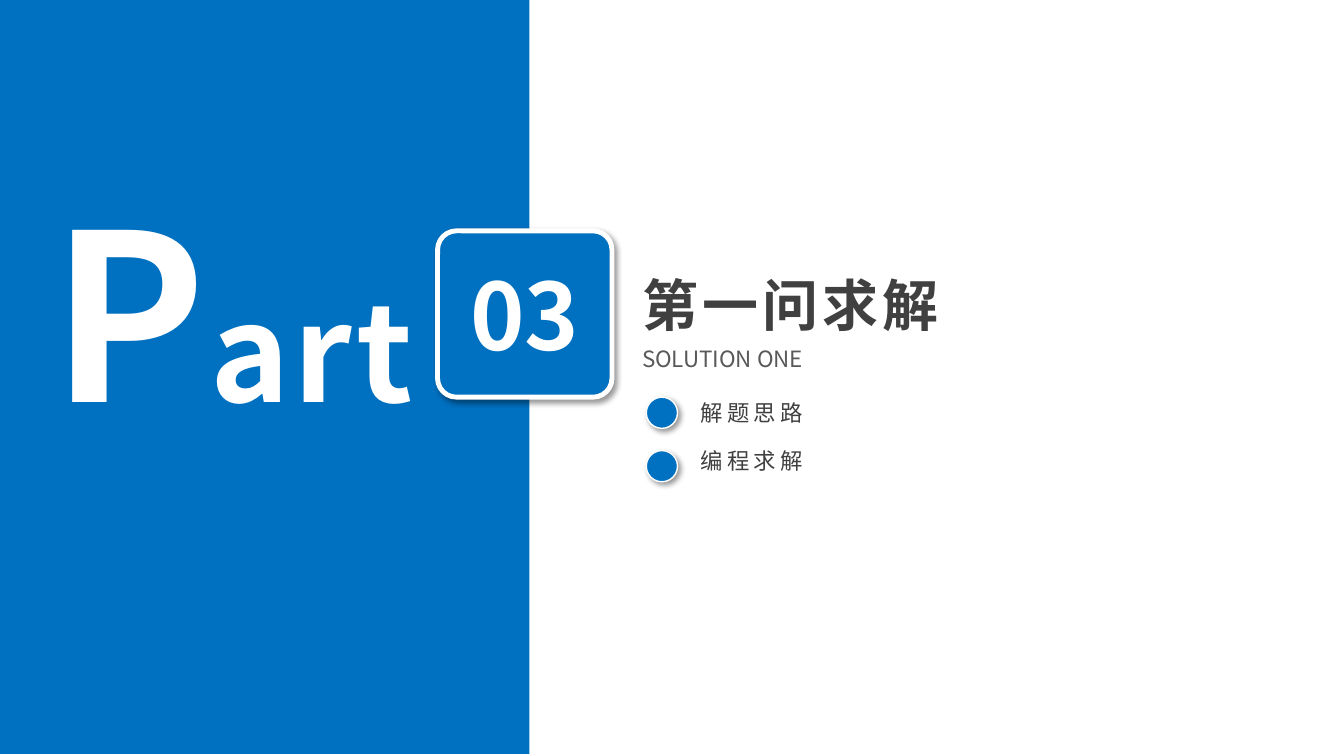
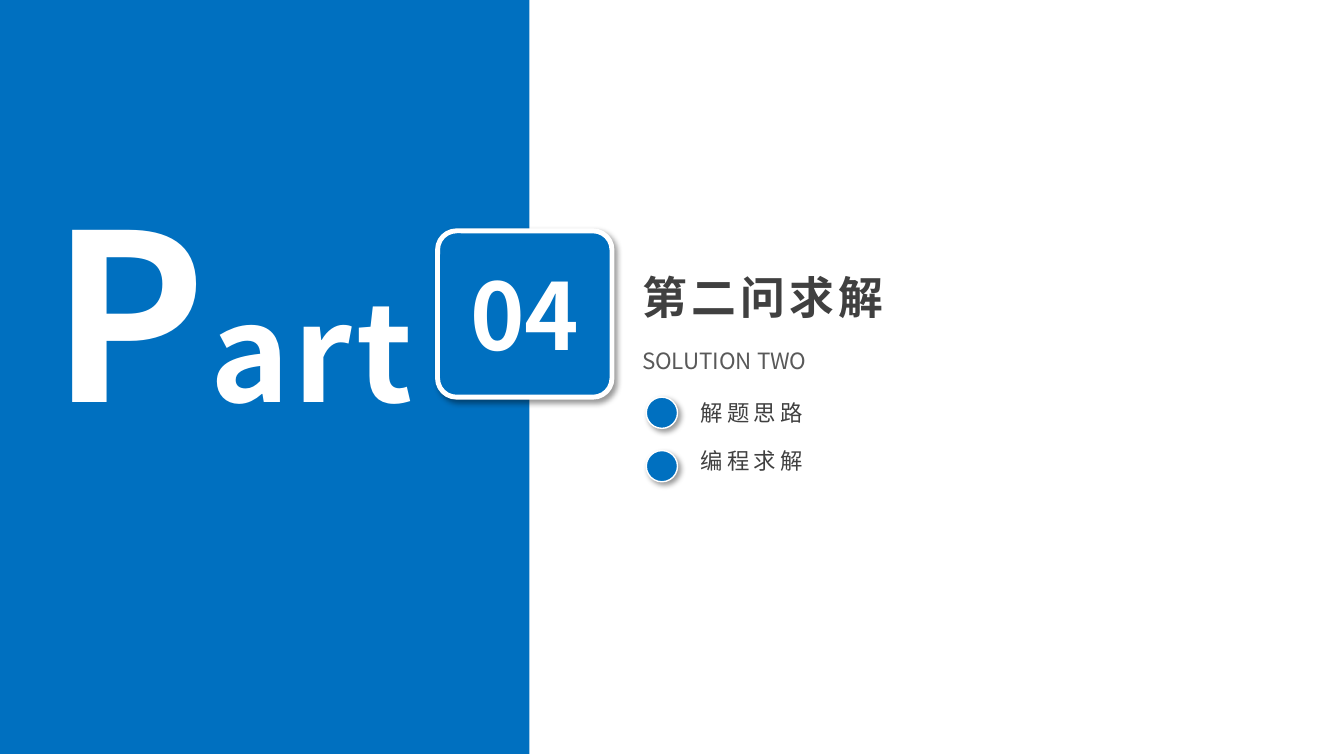
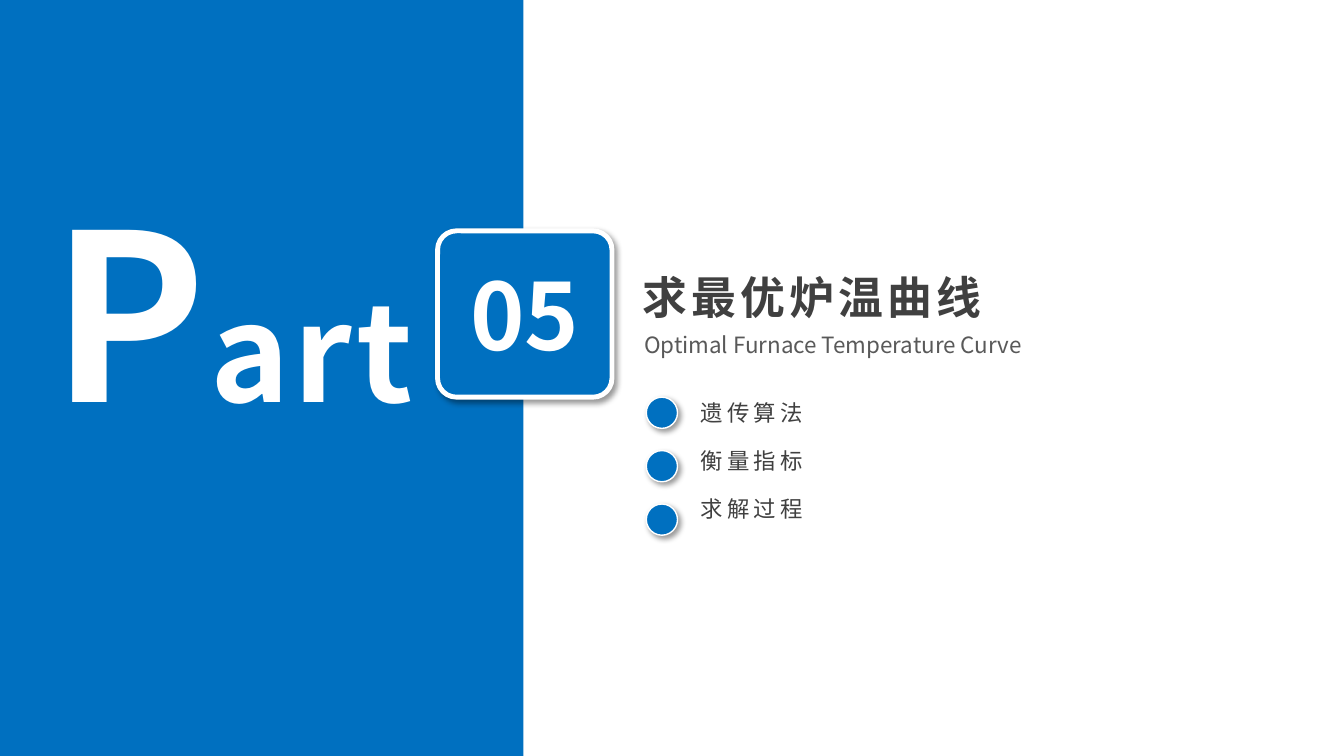
from pptx import Presentation
from pptx.dml.color import RGBColor
from pptx.enum.shapes import MSO_SHAPE
from pptx.enum.text import MSO_ANCHOR, MSO_AUTO_SIZE, PP_ALIGN
from pptx.oxml import parse_xml
from pptx.oxml.ns import nsdecls, qn
from pptx.util import Inches, Pt
from lxml.etree import SubElement

FONT = "Noto Sans CJK SC"
HEX = {"blue": "0070C0", "white": "FFFFFF", "dark": "404040", "gray": "595959"}

# Text styles: size, bold, colour, letter gap in points
STYLE = {
    "cap": dict(size=166, bold=True, color="white", gap=3),
    "word": dict(size=96, bold=True, color="white", gap=3),
    "badge": dict(size=66, bold=True, color="white", gap=0),
    "title": dict(size=40, bold=True, color="dark", gap=3),
    "sub": dict(size=16, bold=False, color="gray", gap=0),
    "item": dict(size=16, bold=False, color="dark", gap=3),
}

# Title size, subtitle place and band size vary from part to part
PARTS = [
    dict(num="03", title="第一问求解", size=40, sub="SOLUTION ONE",
         spot=(6.27, 3.38), band=(5.25, 7.48), items=["解题思路", "编程求解"]),
    dict(num="04", title="第二问求解", size=32, sub="SOLUTION TWO",
         spot=(6.27, 3.39), band=(5.25, 7.48), items=["解题思路", "编程求解"]),
    dict(num="05", title="求最优炉温曲线", size=32,
         sub="Optimal Furnace Temperature Curve",
         spot=(6.29, 3.24), band=(5.19, 7.5),
         items=["遗传算法", "衡量指标", "求解过程"]),
]
STEP = 0.53


def rgb(name):
    return RGBColor.from_string(HEX[name])


def write(para, text, style, **extra):
    look = {**STYLE[style], **extra}
    run = para.add_run()
    run.text = text
    form = dict(name=FONT, size=Pt(look["size"]), bold=look["bold"])
    for key, val in form.items():
        setattr(run.font, key, val)
    run.font.color.rgb = rgb(look["color"])
    props = run.font._element
    props.set("spc", str(look["gap"] * 100))
    SubElement(props, qn("a:ea")).set("typeface", FONT)


def place(shape, box):
    for key, val in zip(("left", "top", "width", "height"), box):
        setattr(shape, key, Inches(val))


def frame(shape, align=PP_ALIGN.LEFT, anchor=MSO_ANCHOR.TOP):
    form = dict(word_wrap=True, auto_size=MSO_AUTO_SIZE.NONE,
                vertical_anchor=anchor)
    for key, val in form.items():
        setattr(shape.text_frame, key, val)
    para = shape.text_frame.paragraphs[0]
    para.alignment = align
    return para


def label(slide, box):
    return slide.shapes.add_textbox(*map(Inches, box))


def block(slide, kind, box, line=0):
    """Blue shape; an outlined one has a white edge and a soft shadow."""
    shape = slide.shapes.add_shape(kind, *map(Inches, box))
    shape.fill.solid()
    shape.fill.fore_color.rgb = rgb("blue")
    shape.shadow.inherit = False
    if not line:
        shape.line.fill.background()
        return shape
    shape.line.color.rgb = rgb("white")
    shape.line.width = Pt(line)
    shade = parse_xml(
        f'<a:outerShdw {nsdecls("a")} blurRad="{Pt(4)}" dist="{Pt(3)}" '
        'dir="2700000" algn="tl" rotWithShape="0"><a:srgbClr val="000000">'
        '<a:alpha val="40000"/></a:srgbClr></a:outerShdw>')
    shape._element.spPr.find(qn("a:effectLst")).append(shade)
    return shape


def panel(slide, num, band):
    # Blue band
    block(slide, MSO_SHAPE.RECTANGLE, (0, 0, *band))
    # Large word
    para = frame(label(slide, (0, 1.64, 4.61, 2.89)), PP_ALIGN.CENTER)
    write(para, "P", "cap")
    write(para, "art", "word")
    # Number badge
    badge = block(slide, MSO_SHAPE.ROUNDED_RECTANGLE,
                  (4.34, 2.29, 1.73, 1.65), 3.5)
    badge.adjustments[0] = 0.114
    write(frame(badge, PP_ALIGN.CENTER, MSO_ANCHOR.MIDDLE), num, "badge")


def heading(slide, title, size, sub, spot):
    shape = slide.shapes.title
    place(shape, (6.27, 2.63, 4.81, 0.77))
    write(frame(shape), title, "title", size=size)
    write(frame(label(slide, (*spot, 4.58, 0.37))), sub, "sub")


def topics(slide, items, left, top):
    body = slide.placeholders[1]
    place(body, (left + 0.44, top, 1.79, 0.37 + STEP * (len(items) - 1)))
    frame(body)
    for i, item in enumerate(items):
        # Round marker
        block(slide, MSO_SHAPE.OVAL,
              (left, top + 0.03 + STEP * i, 0.31, 0.31), 1)
        # Topic text
        para = (body.text_frame.add_paragraph() if i
                else body.text_frame.paragraphs[0])
        props = para._p.get_or_add_pPr()
        for key in ("marL", "indent"):
            props.set(key, "0")
        SubElement(props, qn("a:buNone"))
        para.space_before = Pt(15 if i else 0)
        para.alignment = PP_ALIGN.LEFT
        write(para, item, "item")


def divider(deck, part):
    slide = deck.slides.add_slide(deck.slide_layouts[1])
    panel(slide, part["num"], part["band"])
    heading(slide, part["title"], part["size"], part["sub"], part["spot"])
    topics(slide, part["items"], 6.41, 3.91)


def main():
    deck = Presentation()
    deck.slide_width, deck.slide_height = Inches(13.33), Inches(7.5)
    for part in PARTS:
        divider(deck, part)
    deck.save("out.pptx")


if __name__ == "__main__":
    main()
